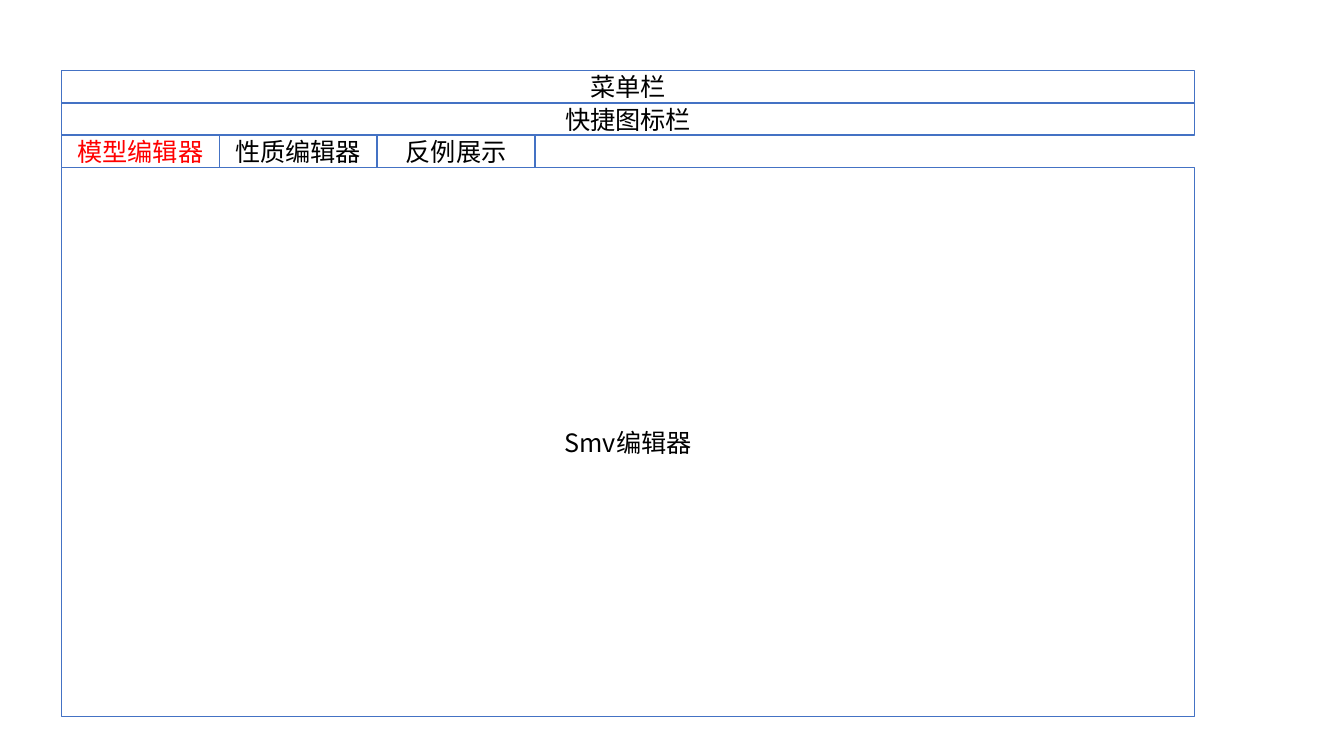
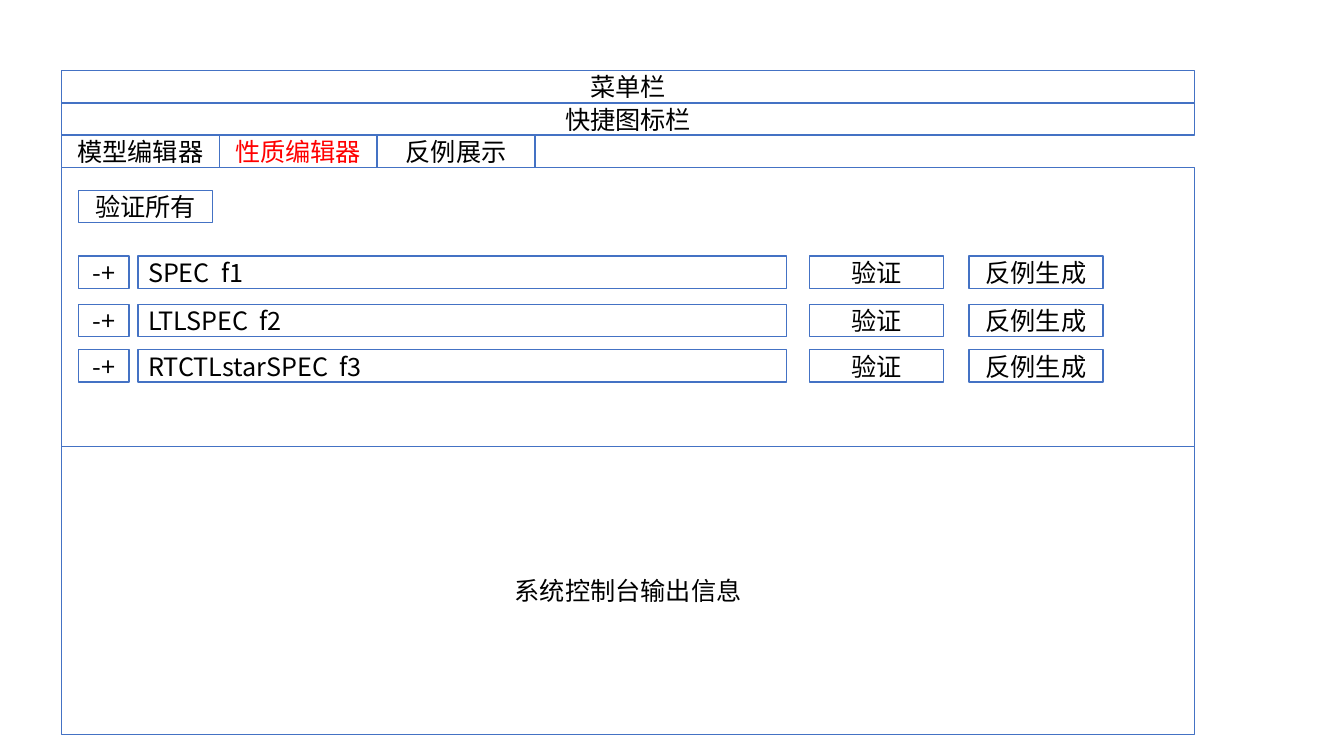
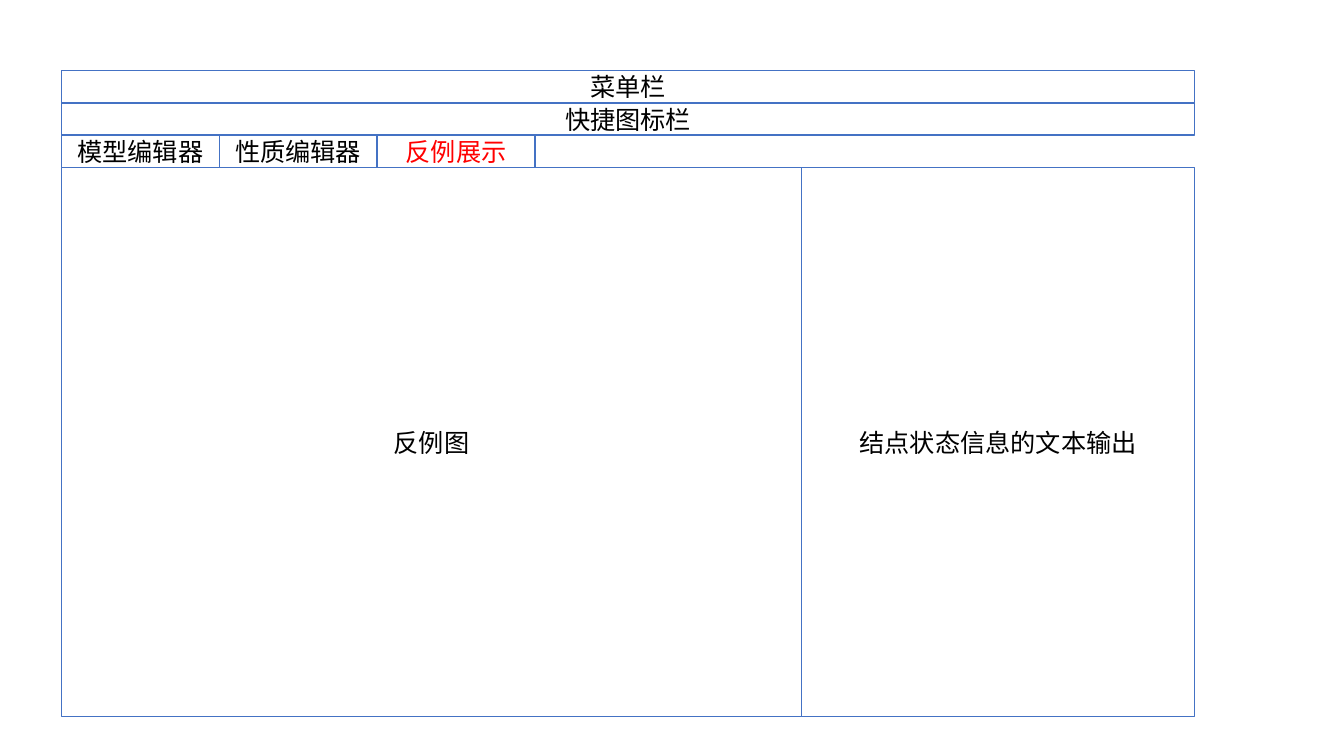
from collections import namedtuple

from lxml.etree import SubElement
from pptx import Presentation
from pptx.dml.color import RGBColor
from pptx.enum.shapes import MSO_SHAPE
from pptx.enum.text import MSO_ANCHOR, PP_ALIGN
from pptx.oxml.ns import qn
from pptx.util import Inches, Pt

WHITE = RGBColor(0xFF, 0xFF, 0xFF)
BLACK = RGBColor(0x00, 0x00, 0x00)
RED = RGBColor(0xFF, 0x00, 0x00)
BLUE = RGBColor(0x44, 0x72, 0xC4)
FONT = "Noto Sans CJK SC"
FONT_FORMAT = {"size": Pt(18), "name": FONT}

Box = namedtuple("Box", "left top width height")

ROW = 0.32
WINDOW = Box(0.61, 0.7, 11.24, 6.41)
BODY = Box(WINDOW.left, WINDOW.top + 3 * ROW, WINDOW.width, WINDOW.height - 3 * ROW)
BARS = ["菜单栏", "快捷图标栏"]
TABS = ["模型编辑器", "性质编辑器", "反例展示"]
TAB_WIDTH = 1.565

PADDING = 0.17
BUTTON_WIDTH = 1.33
PROPERTY_ROWS = [(0.88, "SPEC  f1"), (1.36, "LTLSPEC  f2"), (1.81, "RTCTLstarSPEC  f3")]
PROPERTIES_HEIGHT = 2.77
CONSOLE_HEIGHT = 2.86
GRAPH_WIDTH = 7.34


def panel(slide, box, label="", color=BLACK, align=PP_ALIGN.CENTER):
    """Draw one outlined rectangle with an optional label."""
    shape = slide.shapes.add_shape(MSO_SHAPE.RECTANGLE, *map(Inches, box))
    shape.shadow.inherit = False
    shape.fill.solid()
    shape.fill.fore_color.rgb = WHITE
    shape.line.color.rgb = BLUE
    shape.line.width = Pt(1)
    if not label:
        return
    shape.text_frame.vertical_anchor = MSO_ANCHOR.MIDDLE
    paragraph = shape.text_frame.paragraphs[0]
    paragraph.alignment = align
    run = paragraph.add_run()
    run.text = label
    for key, value in FONT_FORMAT.items():
        setattr(run.font, key, value)
    run.font.color.rgb = color
    SubElement(run.font._element, qn("a:ea")).set("typeface", FONT)


def window_bars(slide, box):
    """Stack the menu bar and the shortcut bar at the top of the window."""
    for row, label in enumerate(BARS):
        panel(slide, Box(box.left, box.top + row * ROW, box.width, ROW), label)


def window_tabs(slide, box, active):
    """Place the tabs below the bars, with the active one in red."""
    top = box.top + len(BARS) * ROW
    for column, label in enumerate(TABS):
        color = RED if label == active else BLACK
        panel(slide, Box(box.left + column * TAB_WIDTH, top, TAB_WIDTH, ROW), label, color)


def model_editor(slide, box):
    """Fill the body with the model editor."""
    panel(slide, box, "Smv编辑器")


def property_row(slide, box, formula):
    """Lay out one property: toggle, formula and its two buttons."""
    cells = [
        (0, 0.5, "-+", PP_ALIGN.CENTER),
        (0.59, 6.43, formula, PP_ALIGN.LEFT),
        (7.25, BUTTON_WIDTH, "验证", PP_ALIGN.CENTER),
        (8.83, BUTTON_WIDTH, "反例生成", PP_ALIGN.CENTER),
    ]
    for offset, width, label, align in cells:
        panel(slide, Box(box.left + offset, box.top, width, box.height), label, align=align)


def property_editor(slide, box):
    """Place the property list above the console output."""
    panel(slide, box._replace(height=PROPERTIES_HEIGHT))
    left = box.left + PADDING
    panel(slide, Box(left, box.top + 0.23, BUTTON_WIDTH, ROW), "验证所有")
    for offset, formula in PROPERTY_ROWS:
        property_row(slide, Box(left, box.top + offset, box.width - 2 * PADDING, ROW), formula)
    console = box._replace(top=box.top + PROPERTIES_HEIGHT, height=CONSOLE_HEIGHT)
    panel(slide, console, "系统控制台输出信息")


def counterexample_view(slide, box):
    """Place the counterexample graph beside the node state text."""
    panel(slide, box._replace(width=GRAPH_WIDTH), "反例图")
    states = box._replace(left=box.left + GRAPH_WIDTH, width=box.width - GRAPH_WIDTH)
    panel(slide, states, "结点状态信息的文本输出")


def main():
    """Build one slide for each tab of the window."""
    deck = Presentation()
    deck.slide_width, deck.slide_height = Inches(13.33), Inches(7.5)
    for tab, body in zip(TABS, [model_editor, property_editor, counterexample_view]):
        slide = deck.slides.add_slide(deck.slide_layouts[6])
        window_bars(slide, WINDOW)
        body(slide, BODY)
        window_tabs(slide, WINDOW, tab)
    deck.save("out.pptx")


main()
